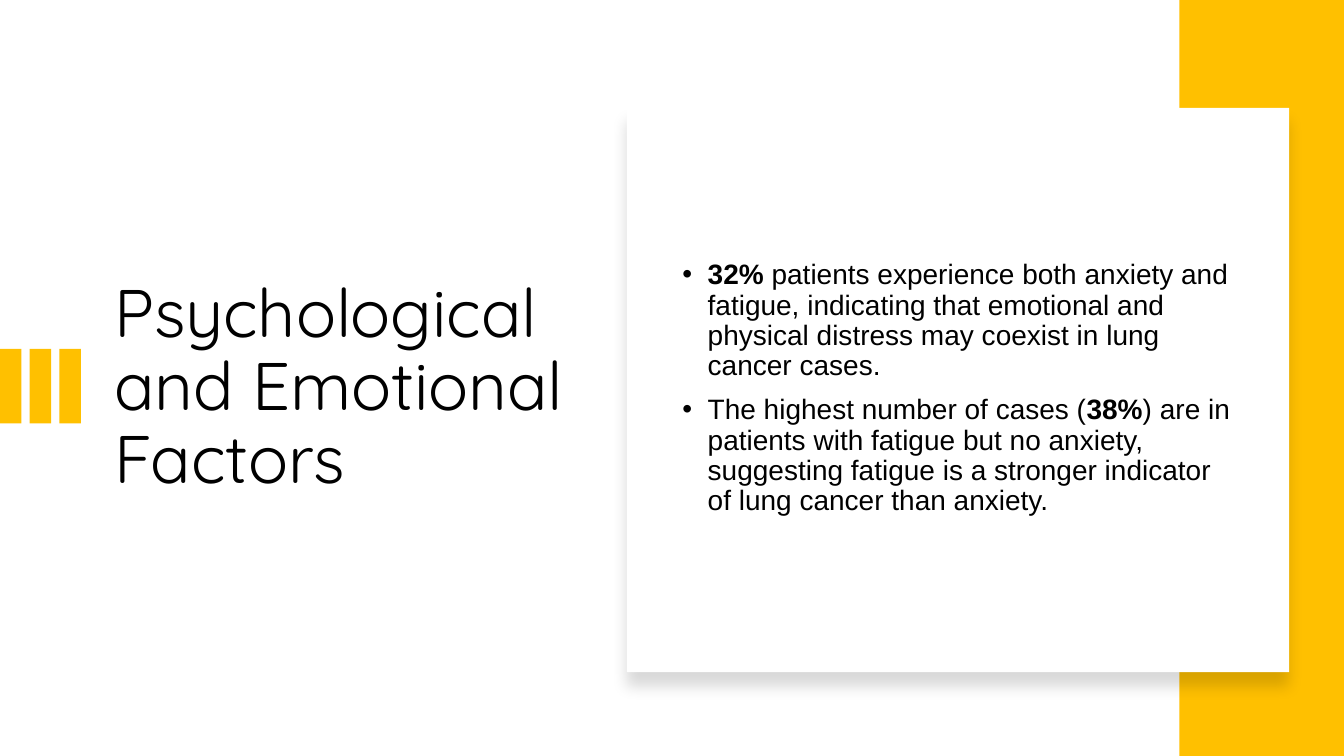
"""Build the slide on psychological and emotional factors in lung cancer."""
from dataclasses import dataclass

from lxml import etree
from pptx import Presentation
from pptx.dml.color import RGBColor
from pptx.enum.shapes import MSO_SHAPE
from pptx.enum.text import MSO_ANCHOR, MSO_AUTO_SIZE, PP_ALIGN
from pptx.oxml import parse_xml
from pptx.oxml.ns import nsdecls, qn
from pptx.shapes.autoshape import Shape
from pptx.slide import Slide
from pptx.text.text import TextFrame
from pptx.util import Cm, Pt

RECTANGLE = MSO_SHAPE.RECTANGLE
MIDDLE = MSO_ANCHOR.MIDDLE
NO_AUTOFIT = MSO_AUTO_SIZE.NONE
LEFT = PP_ALIGN.LEFT

AMBER = RGBColor(0xFF, 0xC0, 0x00)
WHITE = RGBColor(0xFF, 0xFF, 0xFF)
BLACK = RGBColor(0x00, 0x00, 0x00)

SLIDE_WIDTH, SLIDE_HEIGHT = 33.87, 19.05
BAR_COUNT, BAR_STEP = 3, 0.75
BULLET_INDENT = Cm(0.64)

TITLE = "Psychological and Emotional Factors"


@dataclass(frozen=True)
class Box:
    """A rectangle on the slide, in centimetres."""

    left: float
    top: float
    width: float
    height: float


@dataclass(frozen=True)
class Finding:
    """A bullet with one figure in bold."""

    before: str
    figure: str
    after: str


@dataclass(frozen=True)
class TextStyle:
    """The look of the paragraphs in a placeholder."""

    font_name: str
    size: int
    space_before: int


TITLE_BOX = Box(2.62, 3.71, 12.42, 12.17)
BODY_BOX = Box(16.94, 3.71, 14.6, 12.17)
CARD = Box(15.8, 2.72, 16.69, 14.22)
SIDE_BAND = Box(29.72, 0, 4.15, SLIDE_HEIGHT)
BARS = [Box(index * BAR_STEP, 8.79, 0.54, 1.88) for index in range(BAR_COUNT)]

TITLE_STYLE = TextStyle("Quicksand", 48, 0)
BODY_STYLE = TextStyle("Arial", 20, 10)

FINDINGS = [
    Finding(
        "",
        "32%",
        " patients experience both anxiety and fatigue, indicating that emotional "
        "and physical distress may coexist in lung cancer cases.",
    ),
    Finding(
        "The highest number of cases (",
        "38%",
        ") are in patients with fatigue but no anxiety, suggesting fatigue is a "
        "stronger indicator of lung cancer than anxiety.",
    ),
]


def place(shape: Shape, box: Box) -> None:
    """Move and size a shape to fit a box."""
    shape.left, shape.top = Cm(box.left), Cm(box.top)
    shape.width, shape.height = Cm(box.width), Cm(box.height)


def add_rectangle(slide: Slide, box: Box, color: RGBColor) -> Shape:
    """Add a flat filled rectangle without an outline."""
    shape = slide.shapes.add_shape(RECTANGLE, 0, 0, 0, 0)
    place(shape, box)
    shape.shadow.inherit = False
    shape.fill.solid()
    shape.fill.fore_color.rgb = color
    shape.line.fill.background()
    return shape


def add_soft_shadow(shape: Shape) -> None:
    """Give a shape a soft shadow that falls downwards."""
    effects = shape.element.spPr.find(qn("a:effectLst"))
    shadow = parse_xml(
        f'<a:outerShdw {nsdecls("a")} blurRad="{Pt(11)}" dist="{Pt(10)}" '
        'dir="5400000" algn="t" rotWithShape="0"/>'
    )
    color = etree.SubElement(shadow, qn("a:srgbClr"), val=str(BLACK))
    etree.SubElement(color, qn("a:alpha"), val="15000")
    effects.append(shadow)


def format_text(text_frame: TextFrame, style: TextStyle) -> None:
    """Apply a style to every paragraph of a text frame."""
    text_frame.word_wrap = True
    text_frame.auto_size = NO_AUTOFIT
    text_frame.vertical_anchor = MIDDLE
    for paragraph in text_frame.paragraphs:
        paragraph.alignment = LEFT
        paragraph.line_spacing = 0.9
        paragraph.space_before = Pt(style.space_before)
        paragraph.font.name = style.font_name
        paragraph.font.size = Pt(style.size)
        paragraph.font.color.rgb = BLACK


def fill_findings(text_frame: TextFrame, findings: list[Finding]) -> None:
    """Write each finding as a bullet with a bold figure."""
    for index, finding in enumerate(findings):
        paragraph = text_frame.add_paragraph() if index else text_frame.paragraphs[0]
        properties = paragraph._p.get_or_add_pPr()
        properties.set("marL", str(BULLET_INDENT))
        properties.set("indent", str(-BULLET_INDENT))
        for text in (finding.before, finding.figure, finding.after):
            if text:
                run = paragraph.add_run()
                run.text = text
                run.font.bold = text == finding.figure


def main() -> None:
    """Build and save the presentation."""
    presentation = Presentation()
    presentation.slide_width = Cm(SLIDE_WIDTH)
    presentation.slide_height = Cm(SLIDE_HEIGHT)
    slide = presentation.slides.add_slide(presentation.slide_layouts[1])
    title, body = slide.placeholders

    place(title, TITLE_BOX)
    title.text_frame.text = TITLE
    format_text(title.text_frame, TITLE_STYLE)

    for box in [*BARS, SIDE_BAND]:
        add_rectangle(slide, box, AMBER)
    add_soft_shadow(add_rectangle(slide, CARD, WHITE))

    place(body, BODY_BOX)
    fill_findings(body.text_frame, FINDINGS)
    format_text(body.text_frame, BODY_STYLE)
    body.element.getparent().append(body.element)

    presentation.save("out.pptx")


if __name__ == "__main__":
    main()
